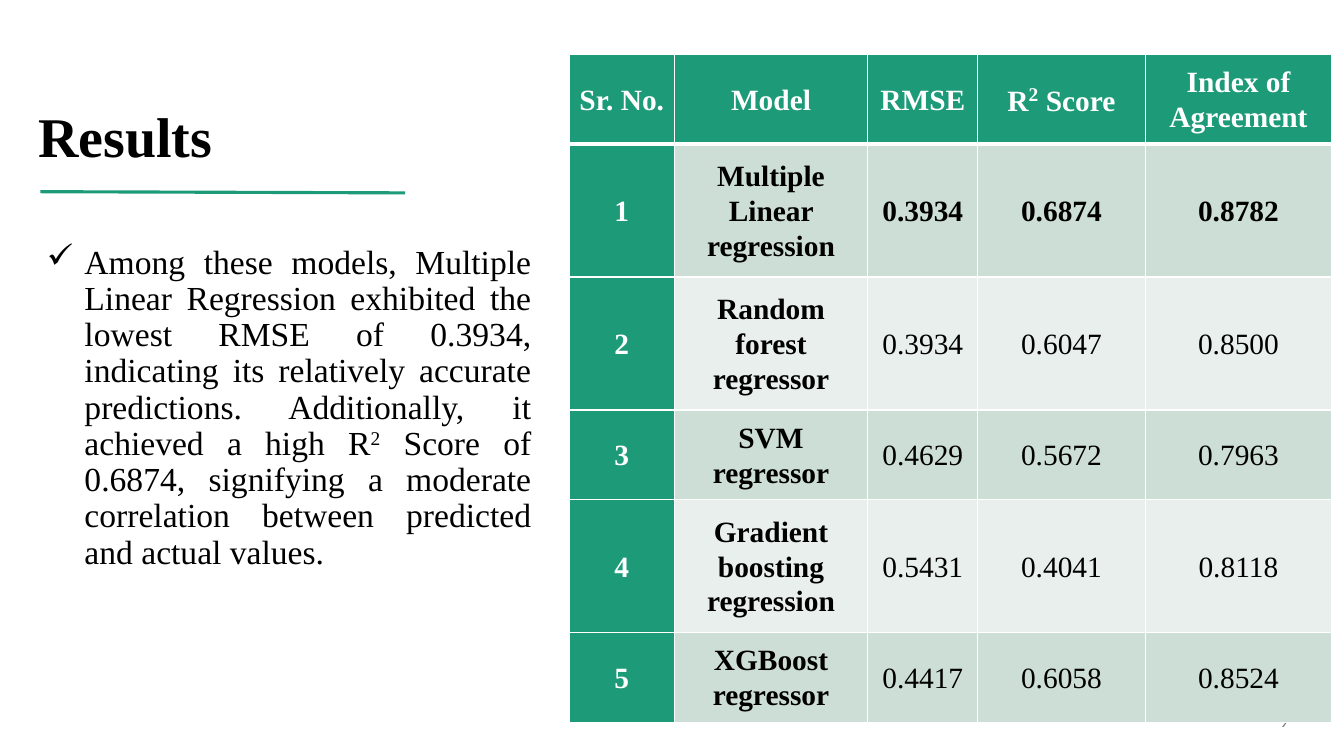
from lxml import etree
from pptx import Presentation
from pptx.dml.color import RGBColor
from pptx.enum.shapes import MSO_CONNECTOR
from pptx.enum.text import MSO_ANCHOR, MSO_AUTO_SIZE, PP_ALIGN
from pptx.oxml.ns import qn
from pptx.util import Cm, Pt

LEFT, CENTER, RIGHT, JUSTIFY = (
    PP_ALIGN.LEFT, PP_ALIGN.CENTER, PP_ALIGN.RIGHT, PP_ALIGN.JUSTIFY)
TOP, MIDDLE, BOTTOM = MSO_ANCHOR.TOP, MSO_ANCHOR.MIDDLE, MSO_ANCHOR.BOTTOM
STRAIGHT = MSO_CONNECTOR.STRAIGHT
NO_FIT = MSO_AUTO_SIZE.NONE

COLORS = {
    "green": "1D9A78",
    "dark": "CDDED6",
    "light": "E8EFEC",
    "white": "FFFFFF",
    "black": "000000",
    "gray": "808080",
}
HEAD = ["Sr. No.", "Model", "RMSE", "R^2^ Score", "Index of Agreement"]
MODELS = [
    ("Multiple Linear regression", "0.3934", "0.6874", "0.8782"),
    ("Random forest regressor", "0.3934", "0.6047", "0.8500"),
    ("SVM regressor", "0.4629", "0.5672", "0.7963"),
    ("Gradient boosting regression", "0.5431", "0.4041", "0.8118"),
    ("XGBoost regressor", "0.4417", "0.6058", "0.8524"),
]
WIDTHS = [2.64, 4.88, 2.77, 4.22, 4.7]
HEIGHTS = [2.26, 3.35, 3.35, 2.26, 3.35, 2.26]
FINDING = (
    "Among these models, Multiple Linear Regression exhibited the lowest RMSE "
    "of 0.3934, indicating its relatively accurate predictions. Additionally, "
    "it achieved a high R^2^ Score of 0.6874, signifying a moderate "
    "correlation between predicted and actual values."
)


def paint(color):
    return RGBColor.from_string(COLORS[color])


def write(frame, text, size=24, color="black", bold=False, align=LEFT,
          font="Times New Roman", space=1.0, after=0):
    """Fill the first paragraph; text between ^ marks is raised, at 24 pt."""
    para = frame.paragraphs[0]
    para.alignment, para.line_spacing = align, space
    para.space_before, para.space_after = Pt(0), Pt(after)
    for i, part in enumerate(text.split("^")):
        run = para.add_run()
        run.text = part
        run.font.name, run.font.bold = font, bold
        run.font.size = Pt(24 if i % 2 else size)
        run.font.color.rgb = paint(color)
        if i % 2:
            run.font._element.set("baseline", "30000")
    return para


class Deck:
    def __init__(self):
        self.file = Presentation()
        self.file.slide_width, self.file.slide_height = Cm(33.87), Cm(19.05)
        self.slide = self.file.slides.add_slide(self.file.slide_layouts[5])

    def title(self, text, left, top, width, height):
        shape = self.slide.shapes.title
        shape.left, shape.top = Cm(left), Cm(top)
        shape.width, shape.height = Cm(width), Cm(height)
        frame = shape.text_frame
        frame.word_wrap, frame.auto_size = True, NO_FIT
        frame.vertical_anchor = BOTTOM
        write(frame, text, size=40, bold=True, space=0.9)

    def text(self, text, left, top, width, height, anchor=TOP, **style):
        box = self.slide.shapes.add_textbox(
            Cm(left), Cm(top), Cm(width), Cm(height))
        frame = box.text_frame
        frame.word_wrap, frame.vertical_anchor = True, anchor
        return write(frame, text, **style)

    def check(self, *args, **style):
        """Add a text box whose paragraph hangs from a check mark."""
        props = self.text(*args, **style)._p.get_or_add_pPr()
        props.set("marL", str(Cm(1.12)))
        props.set("indent", str(Cm(-0.95)))
        etree.SubElement(props, qn("a:buChar")).set("char", "✓")

    def line(self, x1, y1, x2, y2, color, width):
        line = self.slide.shapes.add_connector(
            STRAIGHT, Cm(x1), Cm(y1), Cm(x2), Cm(y2))
        line.line.color.rgb, line.line.width = paint(color), Pt(width)
        etree.SubElement(line._element.spPr, qn("a:effectLst"))

    def border(self, cell, bottom):
        props = cell._tc.get_or_add_tcPr()
        for side, width in zip("LRTB", (1, 1, 1, bottom)):
            edge = etree.SubElement(props, qn("a:ln" + side))
            edge.set("w", str(Pt(width)))
            fill = etree.SubElement(edge, qn("a:solidFill"))
            etree.SubElement(fill, qn("a:srgbClr")).set("val", COLORS["white"])

    def cell(self, cell, text, fill, bottom=1, **style):
        self.border(cell, bottom)
        cell.fill.solid()
        cell.fill.fore_color.rgb = paint(fill)
        cell.vertical_anchor = MIDDLE
        cell.margin_left = cell.margin_right = Cm(0.18)
        cell.margin_top = cell.margin_bottom = 0
        write(cell.text_frame, text, size=21, align=CENTER, space=1.07, **style)

    def table(self, rows, left, top, widths, heights):
        grid = self.slide.shapes.add_table(
            len(rows), len(widths), Cm(left), Cm(top),
            Cm(sum(widths)), Cm(sum(heights))).table
        for col, width in zip(grid.columns, widths):
            col.width = Cm(width)
        for row, height in zip(grid.rows, heights):
            row.height = Cm(height)
        for r, row in enumerate(rows):
            for c, text in enumerate(row):
                label = r == 0 or c == 0
                band = "dark" if r % 2 else "light"
                self.cell(grid.cell(r, c), text,
                          fill="green" if label else band,
                          bottom=1 if r else 3,
                          color="white" if label else "black",
                          bold=r < 2 or c < 2)


def main():
    deck = Deck()
    deck.title("Results", 0.71, 1.37, 12.34, 3.02)
    deck.check(FINDING, 0.76, 6.05, 12.88, 9.7,
               align=JUSTIFY, space=0.9, after=6)
    deck.text("9", 25.1, 17.65, 7.62, 1.02, anchor=MIDDLE, size=12,
              color="gray", align=RIGHT, font="Calibri", after=6)
    rows = [HEAD] + [(str(n), *model) for n, model in enumerate(MODELS, 1)]
    deck.table(rows, 14.35, 1.37, WIDTHS, HEIGHTS)
    deck.line(1.02, 4.83, 10.21, 4.86, "green", 2.25)
    deck.file.save("out.pptx")


if __name__ == "__main__":
    main()
